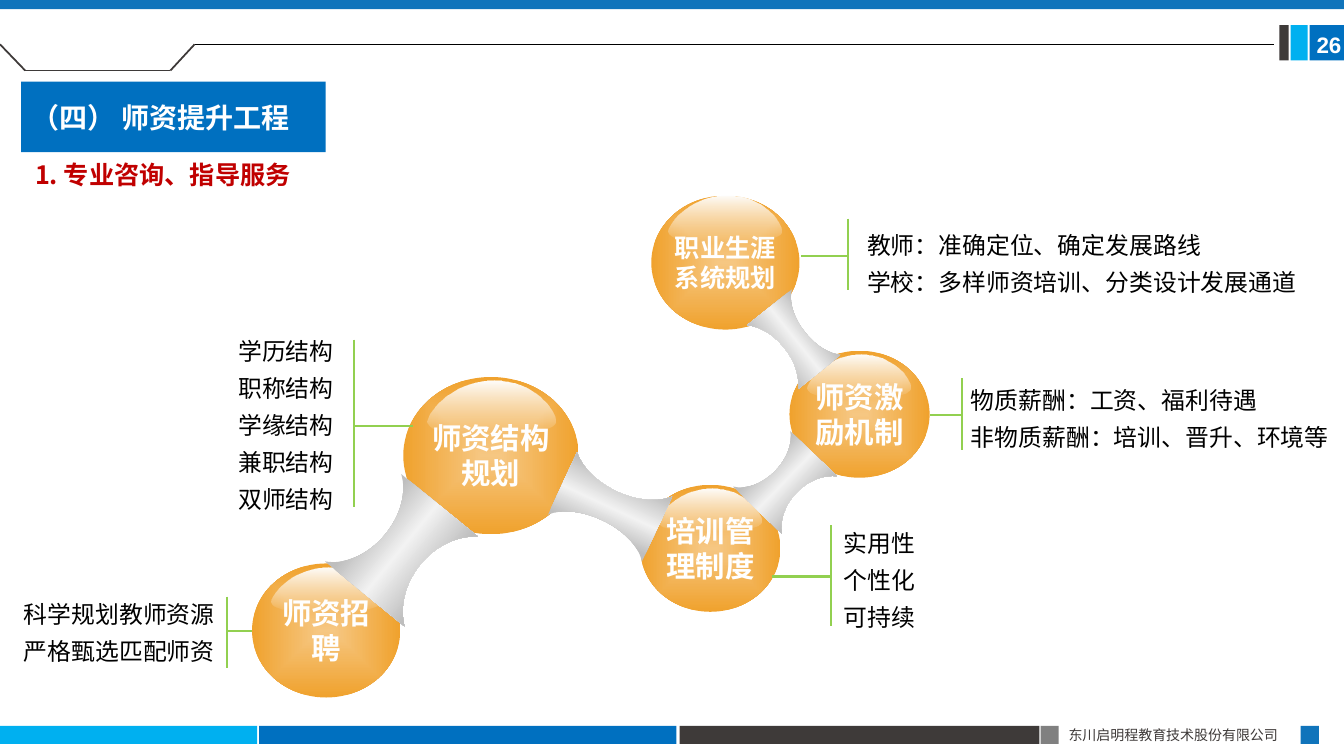
from lxml import etree
from pptx import Presentation
from pptx.dml.color import RGBColor
from pptx.enum.shapes import MSO_CONNECTOR, MSO_SHAPE
from pptx.enum.text import MSO_ANCHOR, PP_ALIGN
from pptx.oxml import parse_xml
from pptx.oxml.ns import qn
from pptx.util import Emu, Pt

PX = 9144  # EMU per px, 100 px to the inch
RECT, OVAL, STRAIGHT = MSO_SHAPE.RECTANGLE, MSO_SHAPE.OVAL, MSO_CONNECTOR.STRAIGHT
TOP, MIDDLE = MSO_ANCHOR.TOP, MSO_ANCHOR.MIDDLE
LEFT, CENTER, RIGHT, JUSTIFY = PP_ALIGN.LEFT, PP_ALIGN.CENTER, PP_ALIGN.RIGHT, PP_ALIGN.JUSTIFY
SANS = "Noto Sans CJK SC"
NS = "http://schemas.openxmlformats.org/drawingml/2006/main"

C = {
    "blue": "0070C0", "bar": "1074BB", "cyan": "00B0F0", "dark": "3E3A39",
    "gray": "808080", "green": "92D050", "red": "C00000", "white": "FFFFFF",
    "black": "000000", "amber": "F0A22E", "glow": "F6C782",
    "steel": "BEBEBE", "shine": "F2F2F2",
}

# Unit-box outlines: a start, then segments of one point (line) or three (cubic).
GLOSS = [[(.49, 1)],
         [(.27, 1), (0, .96), (0, .75)], [(.01, .53), (.22, 0), (.52, 0)],
         [(.83, 0), (1, .55), (1, .75)], [(1, .93), (.71, 1), (.49, 1)]]
NECK = [[(.04, 0)], [(1, 0)],
        [(.85, .1), (.74, .28), (.74, .5)], [(.74, .72), (.85, .9), (1, 1)],
        [(0, 1)],
        [(.17, .92), (.29, .72), (.29, .49)], [(.29, .27), (.19, .09), (.04, 0)]]

BARS = [
    ((0, 720, 255, 18), "cyan"), ((257, 720, 414, 18), "blue"),
    ((674, 720, 357, 18), "dark"), ((1032, 720, 18, 18), "gray"),
    ((1290, 720, 18, 18), "bar"), ((1299, 25, 35, 35), "blue"),
    ((1280, 25, 17, 35), "cyan"), ((1269, 25, 9, 35), "dark"),
    ((0, 0, 1333, 9), "bar"),
]
TAB = [(0, 44), (25, 70), (169, 70), (193, 44)]
# Ball box, gloss box, label, text size
BALLS = [
    ((250, 559, 147, 133), (269, 563, 108, 45), "师资招聘", 21),
    ((400, 374, 174, 156), (424, 378, 127, 53), "师资结构规划", 21),
    ((635, 481, 139, 126), (653, 485, 102, 42), "培训管理制度", 21),
    ((783, 348, 139, 126), (801, 352, 102, 43), "师资激励机制", 21),
    ((646, 194, 147, 133), (663, 194, 112, 47), "职业生涯系统规划", 18),
]
NECKS = [((347, 487, 102, 115), 39.2), ((760, 296, 57, 81), 141.4),
         ((745, 438, 67, 79), 44), ((569, 451, 71, 104), 295)]
# Spine x, spine top, spine bottom, ball-side x, tick y
BRACKETS = [(225, 592, 663, 250, 626), (351, 337, 503, 410, 423),
            (824, 521, 621, 766, 572), (954, 375, 446, 922, 412),
            (841, 217, 288, 794, 254)]
CALLOUTS = [
    ((120, 328, 224, 179), RIGHT, ["学历结构", "职称结构", "学缘结构", "兼职结构", "双师结构"]),
    ((824, 497, 180, 148), LEFT, ["实用性", "个性化", "可持续"]),
    ((847, 194, 470, 126), LEFT,
     ["教师：准确定位、确定发展路线", "学校：多样师资培训、分类设计发展通道"]),
    ((950, 348, 395, 126), LEFT,
     ["物质薪酬：工资、福利待遇", "非物质薪酬：培训、晋升、环境等"]),
    ((2, 569, 224, 108), RIGHT, ["科学规划教师资源", "严格甄选匹配师资"]),
]


def emu(*lengths):
    return [Emu(round(v * PX)) for v in lengths]


def rgb(name):
    return RGBColor.from_string(C[name])


def write(sp, lines, size, color, bold=False, font=SANS, align=LEFT,
          anchor=TOP, inset=(10, 5), spacing=None):
    tf = sp.text_frame
    x, y = emu(*inset)
    fmt = dict(word_wrap=True, vertical_anchor=anchor, margin_left=x,
               margin_right=x, margin_top=y, margin_bottom=y)
    for key, value in fmt.items():
        setattr(tf, key, value)
    for i, line_text in enumerate(lines):
        p = tf.add_paragraph() if i else tf.paragraphs[0]
        p.alignment, p.line_spacing = align, spacing
        r = p.add_run()
        r.text = line_text
        for key, value in dict(size=Pt(size), bold=bold, name=font).items():
            setattr(r.font, key, value)
        r.font.color.rgb = rgb(color)
        etree.SubElement(r.font._element, qn("a:ea")).set("typeface", SANS)


def text(s, box, lines, size, color, **style):
    write(s.shapes.add_textbox(*emu(*box)), lines, size, color, **style)


def plain(sp):
    sp.shadow.inherit = False
    sp.line.fill.background()
    return sp


def block(s, box, color):
    sp = plain(s.shapes.add_shape(RECT, *emu(*box)))
    sp.fill.solid()
    sp.fill.fore_color.rgb = rgb(color)
    return sp


def line(s, start, end, color, width):
    cn = s.shapes.add_connector(STRAIGHT, *emu(*start, *end))
    cn.line.color.rgb = rgb(color)
    cn.line.width = Pt(width)
    etree.SubElement(cn._element.spPr, qn("a:effectLst"))


def gradient(sp, stops, angle=None):
    """Fill with (percent, colour, opacity) stops; no angle means from the centre."""
    gs = "".join(
        f'<a:gs pos="{pos * 1000}"><a:srgbClr val="{C[color]}">'
        f'<a:alpha val="{opacity * 1000}"/></a:srgbClr></a:gs>'
        for pos, color, opacity in stops)
    if angle is None:
        way = ('<a:path path="shape"><a:fillToRect l="50000" t="50000" '
               'r="50000" b="50000"/></a:path>')
    else:
        way = f'<a:lin ang="{angle * 60000}" scaled="0"/>'
    sp.fill.background()
    spPr = sp._element.spPr
    spPr.replace(spPr.find(qn("a:noFill")), parse_xml(
        f'<a:gradFill xmlns:a="{NS}" rotWithShape="1"><a:gsLst>{gs}</a:gsLst>{way}</a:gradFill>'))


def outline(s, box, segments):
    """Scale a unit-box outline into box, joining each three points into a cubic."""
    x, y, w, h = box
    placed = [emu(x + u * w, y + v * h) for seg in segments for u, v in seg]
    fb = s.shapes.build_freeform(*placed[0], scale=1.0)
    fb.add_line_segments(placed[1:], close=True)
    sp = plain(fb.convert_to_shape())
    steps = iter(list(sp._element.spPr.iter(qn("a:lnTo"))))
    for seg in segments[1:]:
        group = [next(steps) for _ in seg]
        if len(group) == 3:
            cubic = etree.Element(qn("a:cubicBezTo"))
            group[0].addprevious(cubic)
            for step in group:
                cubic.append(step[0])
                step.getparent().remove(step)
    return sp


def ball(s, box, gloss_box, label, size):
    sp = plain(s.shapes.add_shape(OVAL, *emu(*box)))
    gradient(sp, [(0, "glow", 100), (99, "amber", 100)])
    write(sp, [label], size, "white", bold=True, align=CENTER, anchor=MIDDLE, inset=(0, 0))
    gradient(outline(s, gloss_box, GLOSS), [(0, "white", 100), (100, "white", 0)], 90)


def neck(s, box, turn):
    sp = outline(s, box, NECK)
    sp.rotation = turn
    gradient(sp, [(31, "steel", 100), (50, "shine", 100), (72, "steel", 100)], 0)


def bracket(s, x, top, bottom, ball_x, tick_y):
    line(s, (x, tick_y), (ball_x, tick_y), "green", 1.5)
    line(s, (x, top), (x, bottom), "green", 1.5)


def main():
    prs = Presentation()
    prs.slide_width, prs.slide_height = emu(1333, 750)
    s = prs.slides.add_slide(prs.slide_layouts[6])
    for box, color in BARS:
        block(s, box, color)
    text(s, (1050, 716, 240, 27), ["东川启明程教育技术股份有限公司"], 10, "dark", align=JUSTIFY)
    for start, end in zip(TAB, TAB[1:]):
        line(s, start, end, "dark", 1.25)
    line(s, TAB[-1], (1264, 44), "black", .5)
    title = block(s, (21, 81, 302, 70), "blue")
    write(title, ["（四） 师资提升工程"], 20, "white", bold=True, font="Calibri", anchor=MIDDLE)
    for args in BALLS:
        ball(s, *args)
    for args in NECKS:
        neck(s, *args)
    for args in BRACKETS:
        bracket(s, *args)
    for box, align, lines in CALLOUTS:
        text(s, box, lines, 17, "black", align=align, anchor=MIDDLE, inset=(13, 6), spacing=1.3)
    text(s, (25, 153, 278, 40), ["1. 专业咨询、指导服务"], 18, "red", bold=True)
    text(s, (1296, 26, 50, 37), ["26"], 16, "white", bold=True, font="Arial")
    prs.save("out.pptx")


if __name__ == "__main__":
    main()
